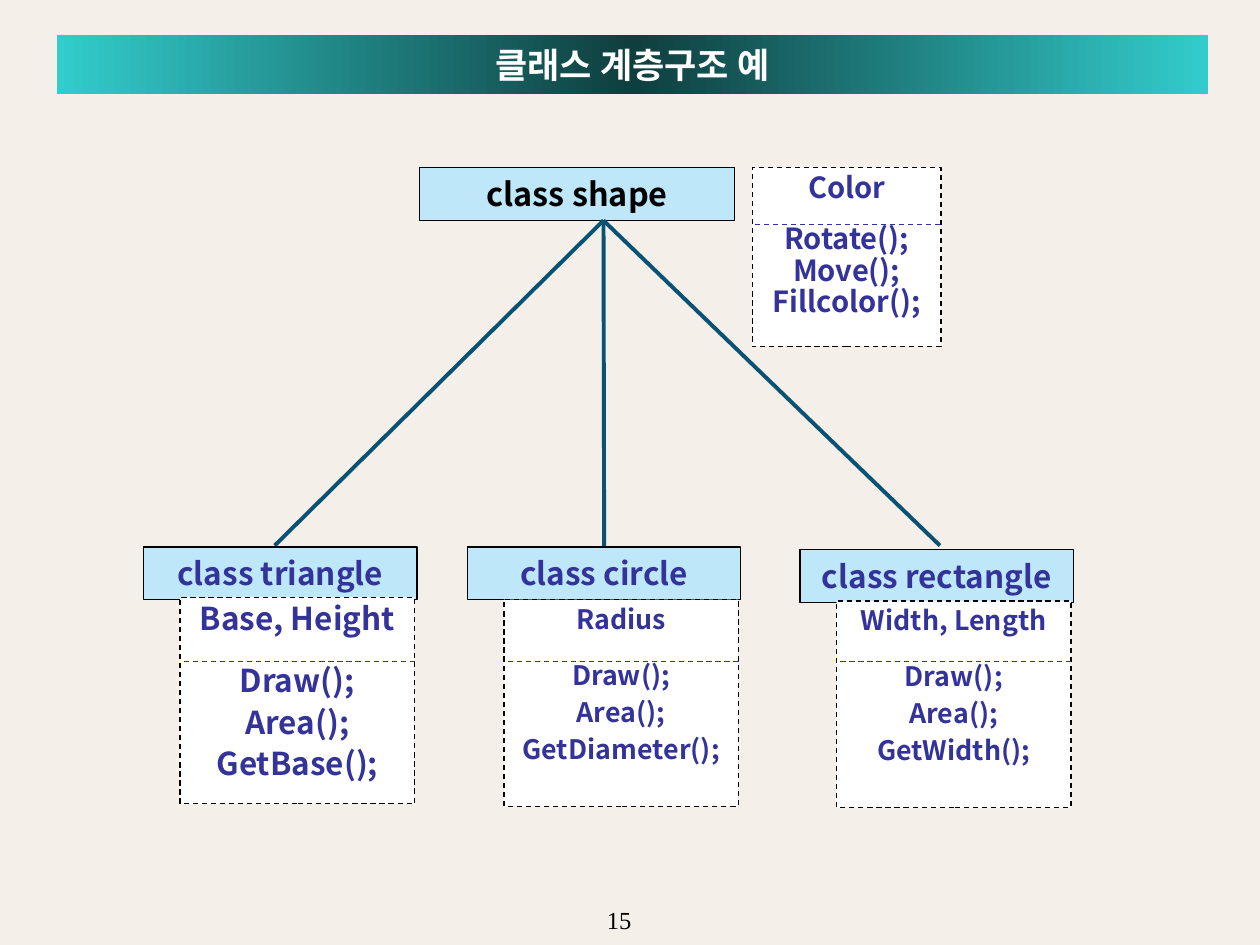
from copy import deepcopy

from lxml import etree
from pptx import Presentation
from pptx.dml.color import RGBColor
from pptx.enum import dml, shapes, text
from pptx.oxml import ns
from pptx.util import Inches, Pt

COLORS = {
    "background": "F4EFE8", "header": "BEE7FA", "white": "FFFFFF",
    "black": "000000", "indigo": "333399", "branch": "095273",
    "teal": "33CCCC", "deep_teal": "0F3E3E",
}
SANS = "Noto Sans CJK KR"
HEADER_HEIGHT = 0.42
ROOT = (4.79, 1.75)

# name, left, top, foot of branch, member box top, member size, attributes, methods
SUBCLASSES = [
    ("class triangle", 1.14, 4.34, 2.18, 4.74, 18, "Base, Height",
     ["Draw();", "Area();", "GetBase();"]),
    ("class circle", 3.71, 4.34, 4.79, 4.76, 15.3, "Radius",
     ["Draw();", "Area();", "GetDiameter();"]),
    ("class rectangle", 6.35, 4.36, 7.46, 4.77, 15.3, "Width, Length",
     ["Draw();", "Area();", "GetWidth();"]),
]


def rgb(name):
    return RGBColor.from_string(COLORS[name])


def place(shape, left, top, width, height):
    shape.left, shape.top = Inches(left), Inches(top)
    shape.width, shape.height = Inches(width), Inches(height)


def write(paragraph, words, size, color, bold=True, face=SANS,
          align=text.PP_ALIGN.CENTER):
    paragraph.alignment = align
    run = paragraph.add_run()
    run.text = words
    run.font.size, run.font.bold, run.font.name = Pt(size), bold, face
    run.font.color.rgb = rgb(color)
    east_asian = etree.SubElement(run.font._element, ns.qn("a:ea"))
    east_asian.set("typeface", face)


def outline(line, color, width, dashed=False):
    line.color.rgb = rgb(color)
    line.width = Pt(width)
    if dashed:
        line.dash_style = dml.MSO_LINE.DASH


def add_line(slide, start, end, color, width, dashed=False):
    connector = slide.shapes.add_connector(
        shapes.MSO_CONNECTOR.STRAIGHT, *map(Inches, (*start, *end)))
    outline(connector.line, color, width, dashed)
    etree.SubElement(connector._element.spPr, ns.qn("a:effectLst"))
    return connector


def add_box(slide, left, top, width, height):
    box = slide.shapes.add_shape(
        shapes.MSO_SHAPE.RECTANGLE, *map(Inches, (left, top, width, height)))
    box.shadow.inherit = False
    return box


def fill_title(title):
    place(title, 0.45, 0.28, 9.14, 0.47)
    title.fill.gradient()
    title.fill.gradient_angle = 0
    stop_list = title._element.spPr.find(".//" + ns.qn("a:gsLst"))
    stop_list.append(deepcopy(stop_list[0]))
    bands = [(0, "teal"), (0.5, "deep_teal"), (1, "teal")]
    for stop, (position, color) in zip(title.fill.gradient_stops, bands):
        stop.position = position
        stop.color.rgb = rgb(color)
    frame = title.text_frame
    frame.auto_size = text.MSO_AUTO_SIZE.NONE
    frame.vertical_anchor = text.MSO_ANCHOR.MIDDLE
    write(frame.paragraphs[0], "클래스 계층구조 예", 20, "white")


def fill_header(header, name, size, color):
    header.fill.solid()
    header.fill.fore_color.rgb = rgb("header")
    outline(header.line, "black", 0.75)
    frame = header.text_frame
    frame.auto_size = text.MSO_AUTO_SIZE.NONE
    frame.word_wrap = True
    frame.vertical_anchor = text.MSO_ANCHOR.MIDDLE
    frame.margin_top = frame.margin_bottom = 0
    paragraph = frame.paragraphs[0]
    properties = paragraph._p.get_or_add_pPr()
    properties.set("marL", "0")
    properties.set("indent", "0")
    etree.SubElement(properties, ns.qn("a:buNone"))
    paragraph.space_before = Pt(0)
    write(paragraph, name, size, color)


def add_members(slide, left, top, width, height, divider, size, attributes,
                methods, method_gap):
    """Dashed box of attributes over methods; divider is (left, right, y)."""
    members = add_box(slide, left, top, width, height)
    members.fill.solid()
    members.fill.fore_color.rgb = rgb("white")
    outline(members.line, "black", 0.75, dashed=True)
    frame = members.text_frame
    frame.word_wrap = True
    frame.vertical_anchor = text.MSO_ANCHOR.TOP
    for row, member in enumerate([attributes, *methods]):
        paragraph = frame.add_paragraph() if row else frame.paragraphs[0]
        paragraph.line_spacing = 0.9
        paragraph.space_before = Pt(method_gap if row else 0)
        paragraph.space_after = Pt(0 if row else 11.2)
        write(paragraph, member, size, "indigo")
    start, end, y = divider
    add_line(slide, (start, y), (end, y), "indigo", 0.75, dashed=True)


def add_subclass(slide, name, left, top, foot, members_top, size, attributes,
                 methods):
    width = 2.17
    branch = add_line(slide, ROOT, (foot, 4.33), "branch", 2.25)
    header = add_box(slide, left, top, width, HEADER_HEIGHT)
    fill_header(header, name, 18, "indigo")
    if abs(left + width / 2 - foot) < 0.01:
        branch.end_connect(header, 0)
    add_members(slide, left + 0.29, members_top, 1.86, 1.64,
                (left + 0.32, left + 2.16, 5.25), size, attributes, methods, 4.5)


def add_page_number(slide, left, top, width, height):
    number = slide.shapes.add_textbox(*map(Inches, (left, top, width, height)))
    number.text_frame.word_wrap = True
    write(number.text_frame.paragraphs[0], "15", 14, "black", False,
          "Times New Roman", text.PP_ALIGN.RIGHT)


def main():
    deck = Presentation()
    deck.slide_width, deck.slide_height = Inches(10), Inches(7.5)
    slide = deck.slides.add_slide(deck.slide_layouts[1])
    slide.background.fill.solid()
    slide.background.fill.fore_color.rgb = rgb("background")

    fill_title(slide.shapes.title)
    base_class = slide.placeholders[1]
    place(base_class, 3.33, 1.33, 2.5, HEADER_HEIGHT)
    fill_header(base_class, "class shape", 18.5, "black")
    add_members(slide, 5.97, 1.33, 1.5, 1.42, (5.99, 7.46, 1.78), 16.6, "Color",
                ["Rotate();", "Move();", "Fillcolor();"], 0)
    for subclass in SUBCLASSES:
        add_subclass(slide, *subclass)
    add_page_number(slide, 4.69, 7.13, 0.42, 0.17)
    deck.save("out.pptx")


if __name__ == "__main__":
    main()
